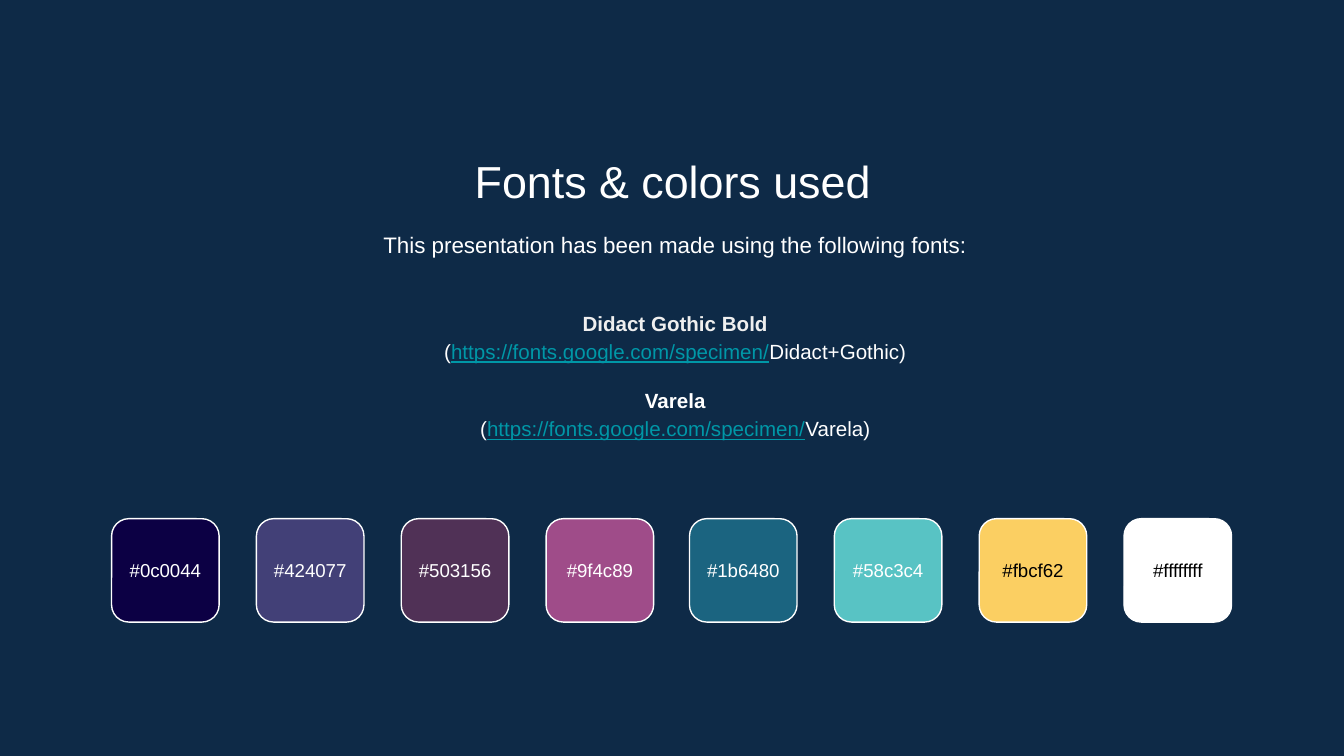
from pptx import Presentation
from pptx import util as u
from pptx.dml.color import RGBColor
from pptx.enum import shapes, text

Pt = u.Pt
FONT = "Arial"
WHITE, BLACK, PALE, LINK = "FFFFFF", "000000", "EFEFEF", "0097A7"
FONTS_URL = "https://fonts.google.com/specimen/"

# Swatch code and label colour, in two rows of four side by side
SWATCH_SETS = [
    (59.8, [("#0c0044", WHITE), ("#424077", WHITE),
            ("#503156", WHITE), ("#9f4c89", WHITE)]),
    (369.4, [("#1b6480", WHITE), ("#58c3c4", WHITE),
             ("#fbcf62", BLACK), ("#ffffffff", BLACK)]),
]
SWATCH_STEP = 77.6
SWATCH_TOP, SWATCH_WIDTH, SWATCH_HEIGHT = 277.9, 57.6, 55.4
LABEL_HEIGHT = 32.4


def color(code):
    return RGBColor.from_string(code)


def set_all(target, values):
    for name, value in values.items():
        setattr(target, name, value)


def place(shape, left, top, width, height):
    set_all(shape, {"left": Pt(left), "top": Pt(top),
                    "width": Pt(width), "height": Pt(height)})


def format_frame(frame, anchor):
    set_all(frame, {
        "word_wrap": True, "auto_size": text.MSO_AUTO_SIZE.NONE,
        "vertical_anchor": anchor,
        "margin_left": Pt(7.2), "margin_right": Pt(7.2),
        "margin_top": Pt(7.2), "margin_bottom": Pt(7.2),
    })


def write_para(para, spans, size, spacing=1.0, before=0):
    """Each span is its text, its colour and any further font values."""
    set_all(para, {"alignment": text.PP_ALIGN.CENTER,
                   "line_spacing": spacing, "space_before": Pt(before)})
    for words, code, extra in spans:
        span = para.add_run()
        span.text = words
        set_all(span.font, {"name": FONT, "size": Pt(size), "bold": False, **extra})
        span.font.color.rgb = color(code)


def add_text(page, bounds, anchor):
    box = page.shapes.add_textbox(0, 0, 0, 0)
    place(box, *bounds)
    format_frame(box.text_frame, anchor)
    return box.text_frame


def add_title(page, words):
    title = page.shapes.title
    place(title, 82.8, 74.9, 555.1, 38.2)
    format_frame(title.text_frame, text.MSO_ANCHOR.TOP)
    write_para(title.text_frame.paragraphs[0], [(words, WHITE, {})], 24)


def add_font_list(page, fonts):
    frame = add_text(page, (84.2, 151.2, 555.1, 98.6), text.MSO_ANCHOR.MIDDLE)
    for index, (name, code, ending) in enumerate(fonts):
        para = frame.add_paragraph() if index else frame.paragraphs[0]
        write_para(para, [(name, code, {"bold": True})], 11, 1.15,
                   before=11 if index else 0)
        write_para(frame.add_paragraph(), [
            ("(", WHITE, {}),
            (FONTS_URL, LINK, {"underline": True}),
            (ending + ")", WHITE, {}),
        ], 11, 1.15)


def add_swatch(page, left, code, label_color):
    swatch = page.shapes.add_shape(
        shapes.MSO_SHAPE.ROUNDED_RECTANGLE, Pt(left), Pt(SWATCH_TOP),
        Pt(SWATCH_WIDTH), Pt(SWATCH_HEIGHT))
    swatch.shadow.inherit = False
    swatch.fill.solid()
    swatch.fill.fore_color.rgb = color(code[1:7].upper())
    swatch.line.color.rgb = color(WHITE)
    swatch.line.width = Pt(0.75)

    label_top = SWATCH_TOP + (SWATCH_HEIGHT - LABEL_HEIGHT) / 2
    frame = add_text(page, (left, label_top, SWATCH_WIDTH, LABEL_HEIGHT),
                     text.MSO_ANCHOR.MIDDLE)
    write_para(frame.paragraphs[0], [(code, label_color, {})], 10)


def main():
    deck = Presentation()
    set_all(deck, {"slide_width": Pt(720), "slide_height": Pt(405)})
    page = deck.slides.add_slide(deck.slide_layouts[5])
    page.background.fill.solid()
    page.background.fill.fore_color.rgb = color("0E2A47")

    # Heading and introduction
    add_title(page, "Fonts & colors used")
    intro = add_text(page, (84.2, 114.5, 555.1, 34.6), text.MSO_ANCHOR.TOP)
    write_para(intro.paragraphs[0], [
        ("This presentation has been made using the following fonts:", WHITE, {}),
    ], 12, 1.15)

    # Font names with their addresses
    add_font_list(page, [("Didact Gothic Bold", PALE, "Didact+Gothic"),
                         ("Varela", WHITE, "Varela")])

    # Colour palette
    for start, swatches in SWATCH_SETS:
        for index, (code, label_color) in enumerate(swatches):
            add_swatch(page, start + index * SWATCH_STEP, code, label_color)

    deck.save("out.pptx")


if __name__ == "__main__":
    main()
